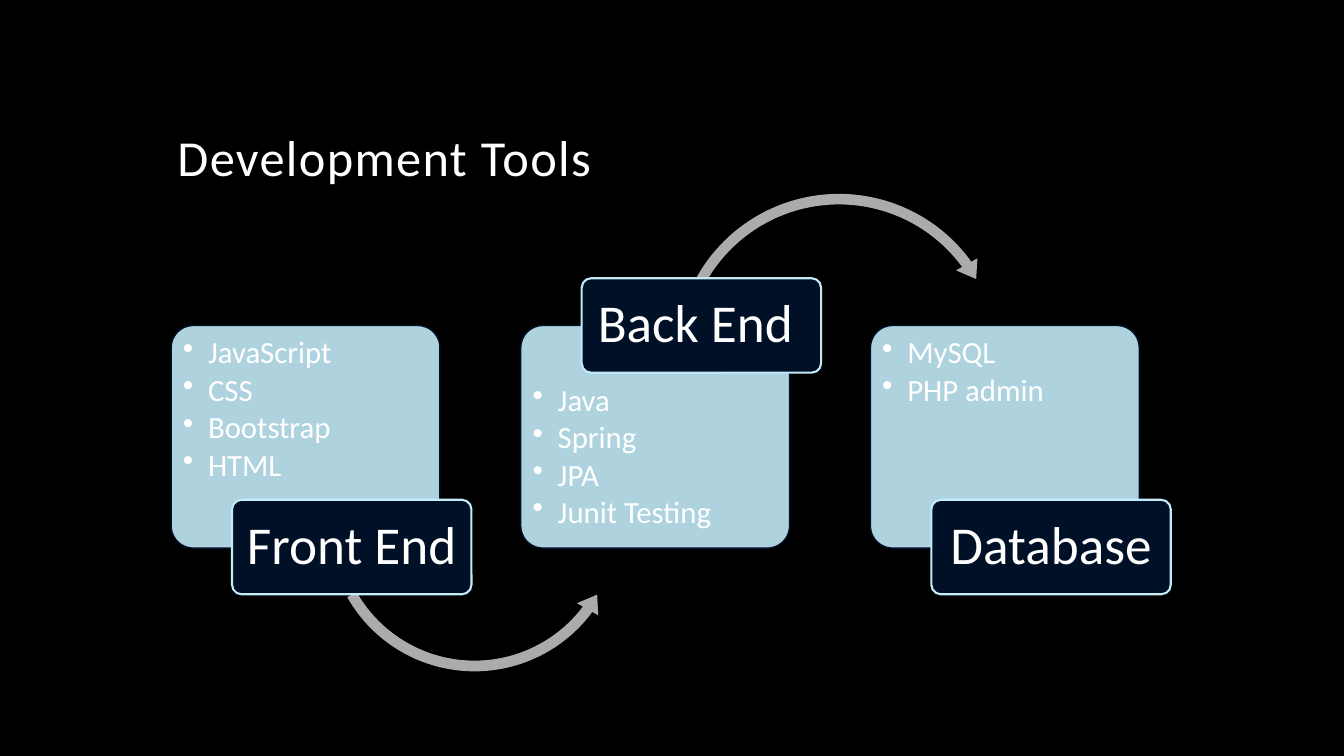
from dataclasses import dataclass

from lxml import etree
from pptx import Presentation
from pptx import util as u
from pptx.dml.color import RGBColor
from pptx.enum import shapes, text
from pptx.oxml import ns

PX = 9525
FONT = "Calibri"
WHITE, NAVY, ICE, GRAY = "FFFFFF", "001027", "C1EBF7", "ABABAD"
LEFT, STEP = 163, 333
KIND = shapes.MSO_SHAPE


@dataclass
class Stage:
    name: str
    tools: list[str]
    pad: int
    top: int


@dataclass
class Arrow:
    kind: shapes.MSO_SHAPE
    left: int
    top: int
    size: int
    bends: list[float]


STAGES = [
    Stage("Front End ", ["JavaScript", "CSS", "Bootstrap", "HTML"], 5, 476),
    Stage("Back End ", ["Java", "Spring", "JPA", "Junit Testing"], 50, 265),
    Stage("Database", ["MySQL", "PHP admin"], 5, 476),
]
ARROWS = [
    Arrow(KIND.LEFT_CIRCULAR_ARROW, 306, 354, 292,
          [0.035, 4.277, 22.032, 90.245, 0.04]),
    Arrow(KIND.CIRCULAR_ARROW, 637, 178, 324,
          [0.031, 3.813, 194.431, 125.755, 0.036]),
]


def color(code: str) -> RGBColor:
    return RGBColor.from_string(code)


def box(tree, kind, rect: tuple, bends: list[float], fill: str,
        line: str = "", width: float = 0):
    shape = tree.add_shape(kind, *(n * PX for n in rect))
    shape.shadow.inherit = False
    for i, bend in enumerate(bends):
        shape.adjustments[i] = bend
    shape.fill.solid()
    shape.fill.fore_color.rgb = color(fill)
    if line:
        shape.line.color.rgb = color(line)
        shape.line.width = u.Pt(width)
    else:
        shape.line.fill.background()
    return shape


def write(shape, lines: list[str], size: int, anchor, align,
          pads: tuple, after: int = 0) -> None:
    frame = shape.text_frame
    frame.word_wrap = True
    frame.vertical_anchor = anchor
    (frame.margin_left, frame.margin_top,
     frame.margin_right, frame.margin_bottom) = (n * PX for n in pads)
    frame.text = "\n".join(lines)
    for para in frame.paragraphs:
        para.alignment = align
        para.line_spacing = 0.9
        para.space_after = u.Pt(after)
        para.font.name = FONT
        para.font.size = u.Pt(size)
        para.font.color.rgb = color(WHITE)


def bullet(para) -> None:
    props = para._p.get_or_add_pPr()
    props.set("marL", str(24 * PX))
    props.set("indent", str(-24 * PX))
    mark = etree.Element(ns.qn("a:buChar"), char="•")
    props.find(ns.qn("a:defRPr")).addprevious(mark)


def card(tree, stage: Stage, left: int) -> None:
    shape = box(tree, KIND.ROUNDED_RECTANGLE, (left, 310, 256, 212),
                [0.1], ICE, NAVY, 1)
    tint = shape._element.spPr.find(
        f"{ns.qn('a:solidFill')}/{ns.qn('a:srgbClr')}")
    etree.SubElement(tint, ns.qn("a:alpha"), val="90000")
    write(shape, stage.tools, 22, text.MSO_ANCHOR.TOP,
          text.PP_ALIGN.LEFT, (5, stage.pad, 5, 5), 3)
    for para in shape.text_frame.paragraphs:
        bullet(para)


def label(tree, stage: Stage, left: int) -> None:
    shape = box(tree, KIND.ROUNDED_RECTANGLE, (left + 58, stage.top, 228, 90),
                [0.1], NAVY, ICE, 1.5)
    write(shape, [stage.name], 38, text.MSO_ANCHOR.MIDDLE,
          text.PP_ALIGN.CENTER, (8, 5, 8, 5))


def title(tree) -> None:
    shape = tree.add_textbox(*(n * PX for n in (159, 40, 960, 144)))
    write(shape, ["Development Tools"], 36, text.MSO_ANCHOR.BOTTOM,
          text.PP_ALIGN.LEFT, (10, 5, 10, 5))
    run = shape.text_frame.paragraphs[0].runs[0]
    run._r.get_or_add_rPr().set("spc", "100")


def main() -> None:
    deck = Presentation()
    deck.slide_width, deck.slide_height = 1280 * PX, 720 * PX
    slide = deck.slides.add_slide(deck.slide_layouts[6])
    slide.background.fill.solid()
    slide.background.fill.fore_color.rgb = color("000000")
    tree = slide.shapes
    title(tree)
    for i, stage in enumerate(STAGES):
        left = LEFT + i * STEP
        card(tree, stage, left)
        for arrow in ARROWS[i:i + 1]:
            box(tree, arrow.kind,
                (arrow.left, arrow.top, arrow.size, arrow.size),
                arrow.bends, GRAY)
        label(tree, stage, left)
    deck.save("out.pptx")


if __name__ == "__main__":
    main()
